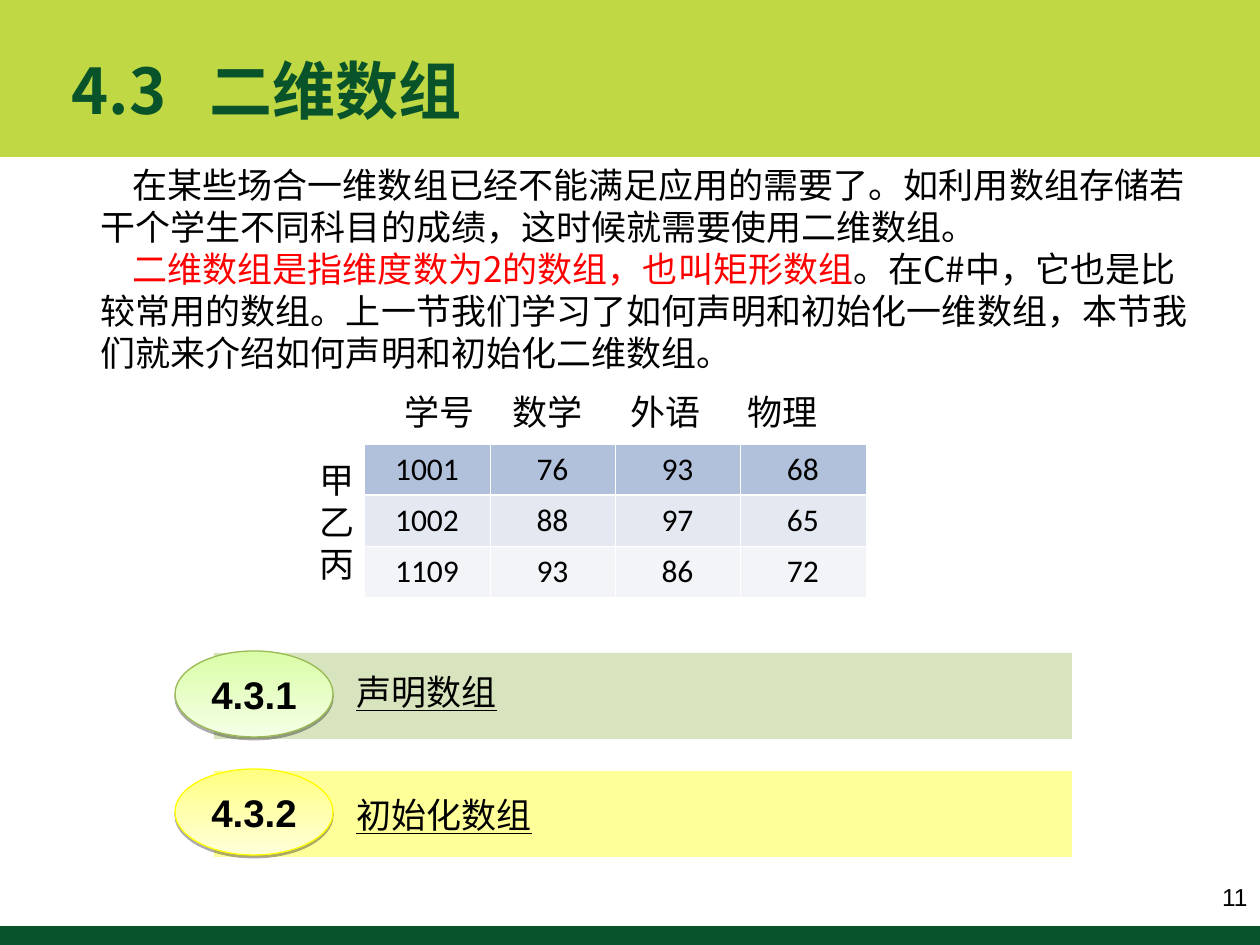
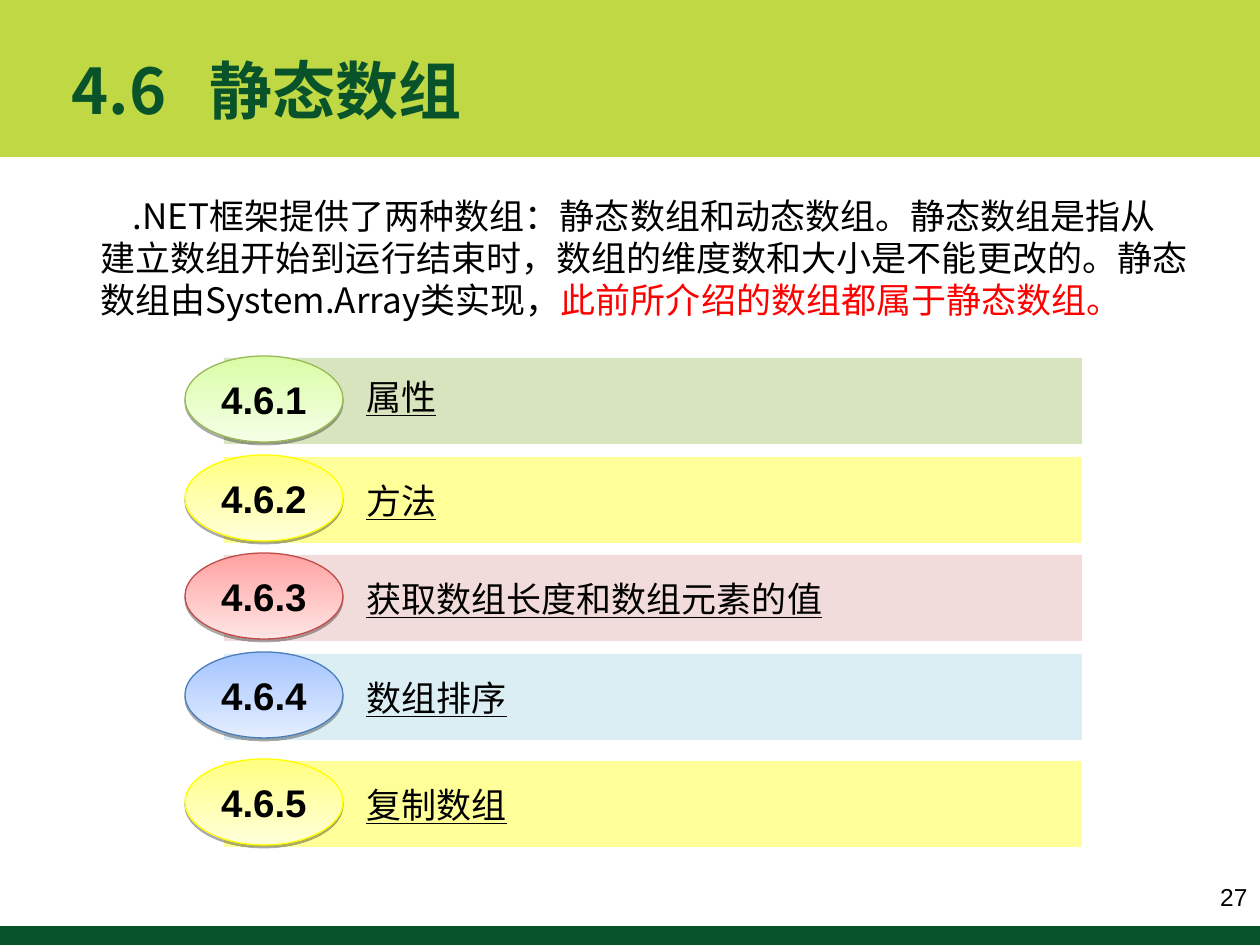
from dataclasses import dataclass
from lxml.etree import SubElement
from pptx import Presentation
from pptx.dml.color import RGBColor
from pptx.enum.shapes import MSO_SHAPE
from pptx.enum.text import MSO_ANCHOR, MSO_AUTO_SIZE, PP_ALIGN
from pptx.oxml import parse_xml
from pptx.oxml.ns import nsdecls, qn
from pptx.util import Pt


@dataclass(frozen=True)
class Theme:
    lime: str = "BFD844"
    green: str = "09532A"
    black: str = "000000"
    red: str = "FF0000"
    white: str = "FFFFFF"
    han: str = "Noto Sans CJK SC"
    sans: str = "Arial"
    cell: str = "Calibri"
    head: int = 36
    mark: int = 22
    text: int = 20
    grid: int = 18
    page: int = 14


theme = Theme()
tones = {
    "green": ("D7E4BD", "DAFDA7", "F5FFE6", "98B954"),
    "yellow": ("FFFF99", "FFFF80", "FFFFDA", "FFFF00"),
    "red": ("F2DCDB", "FFA2A1", "FFE5E5", "BE4B48"),
    "blue": ("DBEEF4", "A3C4FF", "E5EEFF", "4A7EBB"),
}
shades = ["B2C1DB", "E4E9F1", "F2F4F8"]
top, mid = MSO_ANCHOR.TOP, MSO_ANCHOR.MIDDLE
left, center, right = PP_ALIGN.LEFT, PP_ALIGN.CENTER, PP_ALIGN.RIGHT
plain = {"name": theme.han, "size": Pt(theme.text), "bold": False, "underline": False}
title_font = plain | {"size": Pt(theme.head), "bold": True}
mark_font = plain | {"name": theme.sans, "size": Pt(theme.mark), "bold": True}
label_font = plain | {"name": theme.sans}
link_font = plain | {"underline": True}
page_font = label_font | {"size": Pt(theme.page)}
grid_font = plain | {"name": theme.cell, "size": Pt(theme.grid)}

decks = [
    {
        "title": "4.3\t二维数组", "page": "11", "x": 214, "body": (157, 223),
        "intro": [
            [("在某些场合一维数组已经不能满足应用的需要了。如利用数组存储若干个学生不同科目的成绩，这时候就需要使用二维数组。", theme.black)],
            [("二维数组是指维度数为2的数组，也叫矩形数组", theme.red),
             ("。在C#中，它也是比较常用的数组。上一节我们学习了如何声明和初始化一维数组，本节我们就来介绍如何声明和初始化二维数组。", theme.black)],
        ],
        "items": [
            (653, "green", "4.3.1", "声明数组"),
            (771, "yellow", "4.3.2", "初始化数组"),
        ],
        "rows": [(1001, 76, 93, 68), (1002, 88, 97, 65), (1109, 93, 86, 72)],
    },
    {
        "title": "4.6\t静态数组", "page": "27", "x": 224, "body": (188, 139),
        "intro": [
            [(".NET框架提供了两种数组：静态数组和动态数组。静态数组是指从建立数组开始到运行结束时，数组的维度数和大小是不能更改的。静态数组由System.Array类实现，", theme.black),
             ("此前所介绍的数组都属于静态数组。", theme.red)],
        ],
        "items": [
            (358, "green", "4.6.1", "属性"),
            (457, "yellow", "4.6.2", "方法"),
            (555, "red", "4.6.3", "获取数组长度和数组元素的值"),
            (654, "blue", "4.6.4", "数组排序"),
            (761, "yellow", "4.6.5", "复制数组"),
        ],
        "rows": [],
    },
]


def px(*sizes):
    return [int(size * 914400 / 126) for size in sizes]


def write(frame, lines, font, align=left, anchor=top, indent=0, tabs=()):
    form = {"word_wrap": True, "auto_size": MSO_AUTO_SIZE.NONE, "vertical_anchor": anchor}
    for key, val in form.items():
        setattr(frame, key, val)
    for row, runs in enumerate(lines):
        para = frame.add_paragraph() if row else frame.paragraphs[0]
        para.alignment, para.space_before = align, Pt(0)
        prop = para._p.get_or_add_pPr()
        if indent:
            prop.set("marL", "0")
            prop.set("indent", str(px(indent)[0]))
        SubElement(prop, qn("a:buNone"))
        if tabs:
            stops = SubElement(prop, qn("a:tabLst"))
            for stop in px(*tabs):
                SubElement(stops, qn("a:tab"), pos=str(stop), algn="l")
        for text, color in runs:
            run = para.add_run()
            run.text = text
            for key, val in font.items():
                setattr(run.font, key, val)
            run.font.color.rgb = RGBColor.from_string(color)


prs = Presentation()
prs.slide_width, prs.slide_height = px(1260, 945)
slides = [prs.slides.add_slide(prs.slide_layouts[1]) for deck in decks]

tree = prs.slide_master.element.cSld.spTree
for spot, (y, high, color) in enumerate([(0, 157, theme.lime), (926, 19, theme.green)]):
    band = slides[0].shapes.add_shape(MSO_SHAPE.RECTANGLE, *px(0, y, 1260, high))
    band.shadow.inherit = False
    band.fill.solid()
    band.fill.fore_color.rgb = RGBColor.from_string(color)
    band.line.fill.background()
    band.element.nvSpPr.cNvPr.set("id", str(20 + spot))
    tree.insert(2 + spot, band.element)

for slide, deck in zip(slides, decks):
    shapes = slide.shapes
    title, body = shapes.title, slide.placeholders[1]
    title.left, title.top, title.width, title.height = px(59, 29, 857, 120)
    write(title.text_frame, [[(deck["title"], theme.green)]], title_font, anchor=mid, tabs=[138])
    y, high = deck["body"]
    body.left, body.top, body.width, body.height = px(88, y, 1113, high)
    write(body.text_frame, deck["intro"], plain, indent=32)

    for spot, (y, tone, mark, text) in enumerate(deck["items"]):
        x = deck["x"]
        fill, start, end, edge = [RGBColor.from_string(color) for color in tones[tone]]
        group = shapes.add_group_shape().shapes
        bar = group.add_shape(MSO_SHAPE.RECTANGLE, *px(x, y, 858, 86))
        bar.shadow.inherit = False
        bar.fill.solid()
        bar.fill.fore_color.rgb = fill
        bar.line.fill.background()
        oval = group.add_shape(MSO_SHAPE.OVAL, *px(x - 39, y - 2, 158, 86))
        oval.fill.gradient()
        oval.fill.gradient_angle = 270
        for stop, place, color in zip(oval.fill.gradient_stops, (0, 1), (start, end)):
            stop.position, stop.color.rgb = place, color
        oval.line.color.rgb, oval.line.width = edge, Pt(0.75)
        oval.shadow.inherit = False
        oval.element.spPr.find(qn("a:effectLst")).append(parse_xml(
            f'<a:outerShdw {nsdecls("a")} blurRad="0" dist="{Pt(1.6)}" dir="5400000" rotWithShape="0">'
            f'<a:srgbClr val="{theme.black}"><a:alpha val="33000"/></a:srgbClr></a:outerShdw>'))
        write(oval.text_frame, [[(mark, theme.black)]], mark_font, center, mid)
        label = shapes.add_textbox(*px(x + 130, y + (16 if spot else 11), 636, 55))
        write(label.text_frame, [[(text, theme.black)]], link_font)

    page = shapes.add_textbox(*px(1162, 867, 98, 59))
    write(page.text_frame, [[(deck["page"], theme.black)]], page_font, right, mid)

    if deck["rows"]:
        frame = shapes.add_table(3, 4, *px(364, 444, 502, 153))
        table = frame.table
        table.first_row = table.horz_banding = False
        for col, wide in zip(table.columns, px(126, 125, 125, 126)):
            col.width = wide
        for row, vals in enumerate(deck["rows"]):
            table.rows[row].height = px(51)[0]
            for col, val in enumerate(vals):
                cell = table.cell(row, col)
                cell.fill.solid()
                cell.fill.fore_color.rgb = RGBColor.from_string(shades[row])
                write(cell.text_frame, [[(str(val), theme.black)]], grid_font, center)
                prop = cell._tc.get_or_add_tcPr()
                for spot, side in enumerate("LRTB"):
                    thick = (row, side) in [(0, "B"), (1, "T")]
                    prop.insert(spot, parse_xml(
                        f'<a:ln{side} {nsdecls("a")} w="{Pt(1.47 if thick else 0.45)}">'
                        f'<a:solidFill><a:srgbClr val="{theme.white}"/></a:solidFill></a:ln{side}>'))
        heads = shapes.add_textbox(*px(392, 384, 500, 55))
        write(heads.text_frame, [[("学号\t数学\t外语\t物理", theme.black)]], label_font, tabs=[108, 226, 343])
        names = shapes.add_textbox(*px(307, 452, 61, 139))
        write(names.text_frame, [[(name, theme.black)] for name in "甲乙丙"], label_font)

    for prop in slide.element.iter(qn("a:rPr")):
        prop.set("lang", "zh-CN")
        SubElement(prop, qn("a:ea"), typeface=theme.han)

prs.save("out.pptx")
